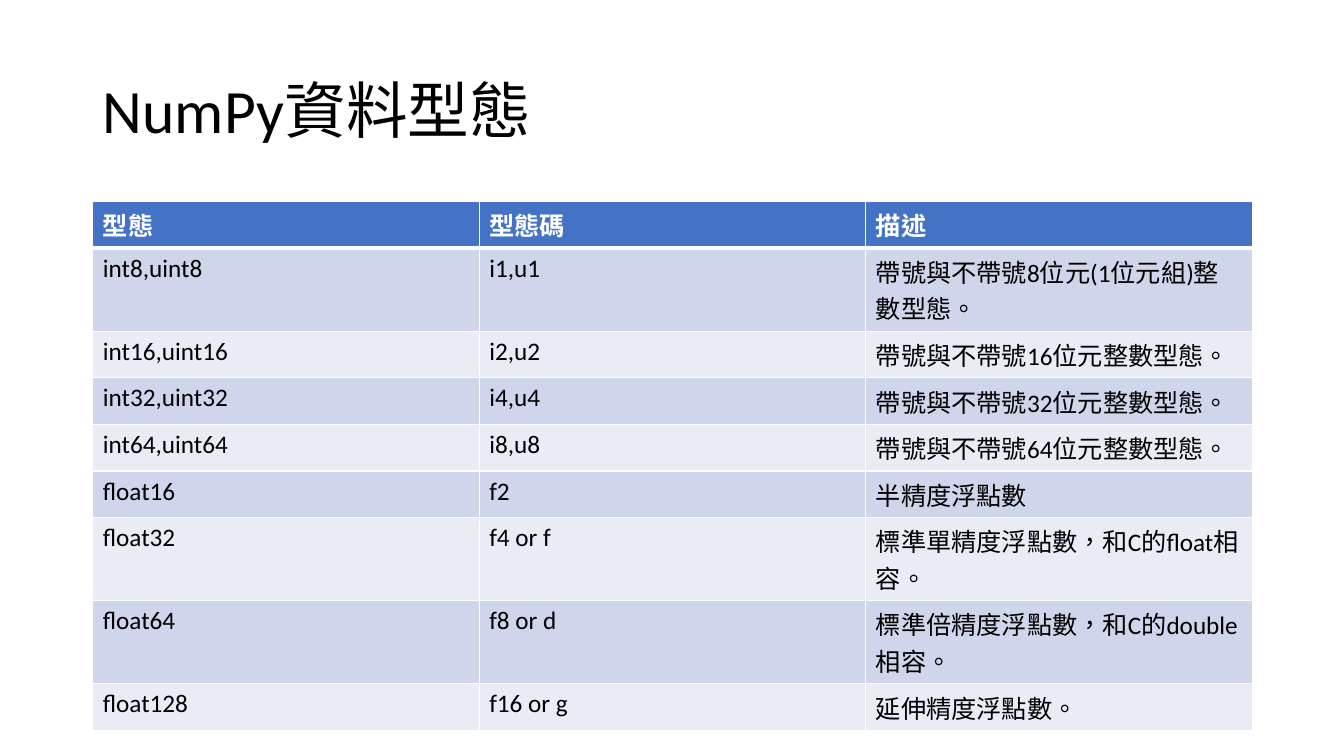
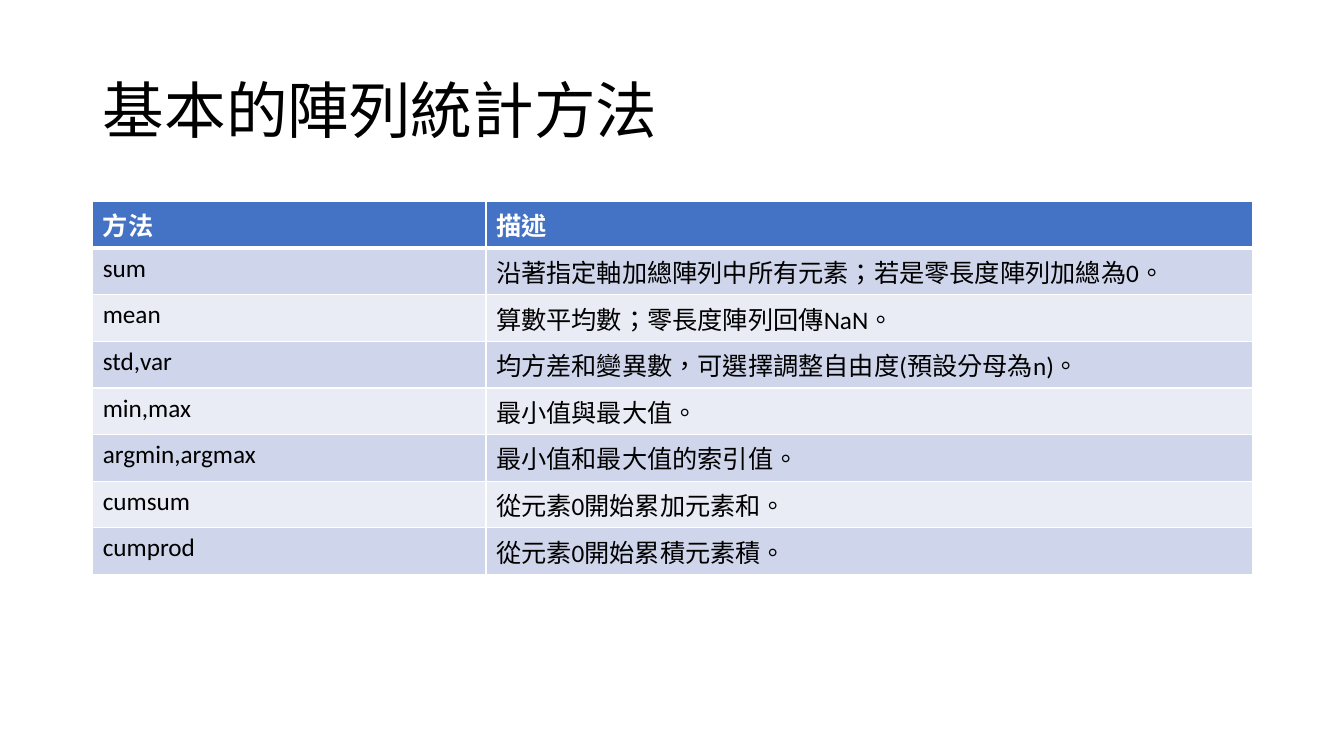
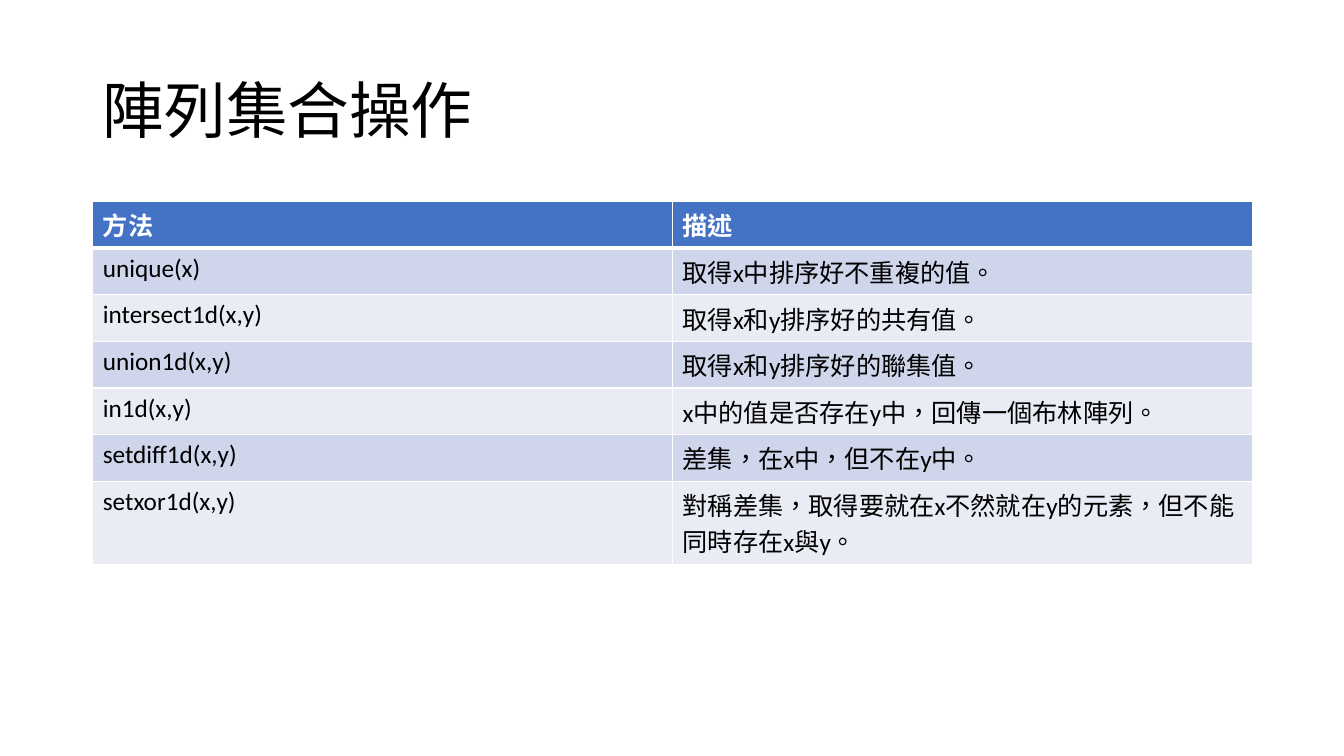
"""Build three slides of NumPy reference tables."""
import pptx
import pptx.dml.color
import pptx.enum.lang
import pptx.enum.text
import pptx.oxml
import pptx.oxml.ns
import pptx.util

Inches = pptx.util.Inches
Pt = pptx.util.Pt
COLORS = {"head": "4472C4", "odd": "CFD5EA", "even": "E9EBF5",
          "white": "FFFFFF", "black": "000000"}
FONT = "Calibri"
LEFT, WIDTH = 0.92, 11.5
ROW = 0.41

TYPES = [
    ("型態", "型態碼", "描述"),
    ("int8,uint8", "i1,u1", "帶號與不帶號8位元(1位元組)整數型態。"),
    ("int16,uint16", "i2,u2", "帶號與不帶號16位元整數型態。"),
    ("int32,uint32", "i4,u4", "帶號與不帶號32位元整數型態。"),
    ("int64,uint64", "i8,u8", "帶號與不帶號64位元整數型態。"),
    ("float16", "f2", "半精度浮點數"),
    ("float32", "f4 or f", "標準單精度浮點數，和C的float相容。"),
    ("float64", "f8 or d", "標準倍精度浮點數，和C的double相容。"),
    ("float128", "f16 or g", "延伸精度浮點數。"),
]
STATS = [
    ("方法", "描述"),
    ("sum", "沿著指定軸加總陣列中所有元素；若是零長度陣列加總為0。"),
    ("mean", "算數平均數；零長度陣列回傳NaN。"),
    ("std,var", "均方差和變異數，可選擇調整自由度(預設分母為n)。"),
    ("min,max", "最小值與最大值。"),
    ("argmin,argmax", "最小值和最大值的索引值。"),
    ("cumsum", "從元素0開始累加元素和。"),
    ("cumprod", "從元素0開始累積元素積。"),
]
SETS = [
    ("方法", "描述"),
    ("unique(x)", "取得x中排序好不重複的值。"),
    ("intersect1d(x,y)", "取得x和y排序好的共有值。"),
    ("union1d(x,y)", "取得x和y排序好的聯集值。"),
    ("in1d(x,y)", "x中的值是否存在y中，回傳一個布林陣列。"),
    ("setdiff1d(x,y)", "差集，在x中，但不在y中。"),
    ("setxor1d(x,y)", "對稱差集，取得要就在x不然就在y的元素，但不能同時存在x與y。"),
]


def color(name):
    """Return the named colour."""
    return pptx.dml.color.RGBColor.from_string(COLORS[name])


def style(para, size, ink, bold=False):
    """Format the runs of a paragraph."""
    for run in para.runs:
        font = run.font
        font.name, font.size, font.bold = FONT, Pt(size), bold
        font.color.rgb = color(ink)
        font.language_id = pptx.enum.lang.MSO_LANGUAGE_ID.TRADITIONAL_CHINESE


def add_title(slide, text):
    """Place and format the slide title."""
    title = slide.shapes.title
    title.left, title.top = Inches(LEFT), Inches(0.4)
    title.width, title.height = Inches(WIDTH), Inches(1.45)
    frame = title.text_frame
    frame.text = text
    frame.vertical_anchor = pptx.enum.text.MSO_ANCHOR.MIDDLE
    para = frame.paragraphs[0]
    para.alignment = pptx.enum.text.PP_ALIGN.LEFT
    para.line_spacing = 0.9
    style(para, 44, "black")


def add_edges(cell, edges):
    """Draw white cell borders, given side and width in points."""
    props = cell._tc.get_or_add_tcPr()
    for spot, (side, width) in enumerate(edges.items()):
        line = pptx.oxml.parse_xml(
            f'<a:ln{side} {pptx.oxml.ns.nsdecls("a")} w="{Pt(width)}">'
            f'<a:solidFill><a:srgbClr val="{COLORS["white"]}"/></a:solidFill>'
            f'</a:ln{side}>')
        props.insert(spot, line)


def fill_cell(cell, text, row):
    """Write and format one cell according to its row."""
    head = row == 0
    cell.text_frame.text = text
    style(cell.text_frame.paragraphs[0], 18, "white" if head else "black", head)
    cell.fill.solid()
    cell.fill.fore_color.rgb = color("head" if head else "odd" if row % 2 else "even")
    if head:
        add_edges(cell, {"L": 1, "R": 1, "T": 1, "B": 3})
    else:
        add_edges(cell, {"L": 1, "R": 1, "B": 1})


def add_grid(slide, rows, widths):
    """Add a table with a header row and banded body rows."""
    table = slide.shapes.add_table(
        len(rows), len(widths), Inches(LEFT), Inches(2),
        Inches(WIDTH), Inches(ROW * len(rows))).table
    for column, width in zip(table.columns, widths):
        column.width = Inches(width)
    for row, texts in enumerate(rows):
        for col, text in enumerate(texts):
            fill_cell(table.cell(row, col), text, row)


def main():
    """Build and save the deck."""
    deck = pptx.Presentation()
    deck.slide_width, deck.slide_height = Inches(13.33), Inches(7.5)
    pages = [
        ("NumPy資料型態", TYPES, [WIDTH / 3] * 3),
        ("基本的陣列統計方法", STATS, [3.9, 7.6]),
        ("陣列集合操作", SETS, [WIDTH / 2] * 2),
    ]
    for title, rows, widths in pages:
        slide = deck.slides.add_slide(deck.slide_layouts[5])
        add_title(slide, title)
        add_grid(slide, rows, widths)
    deck.save("out.pptx")


main()
